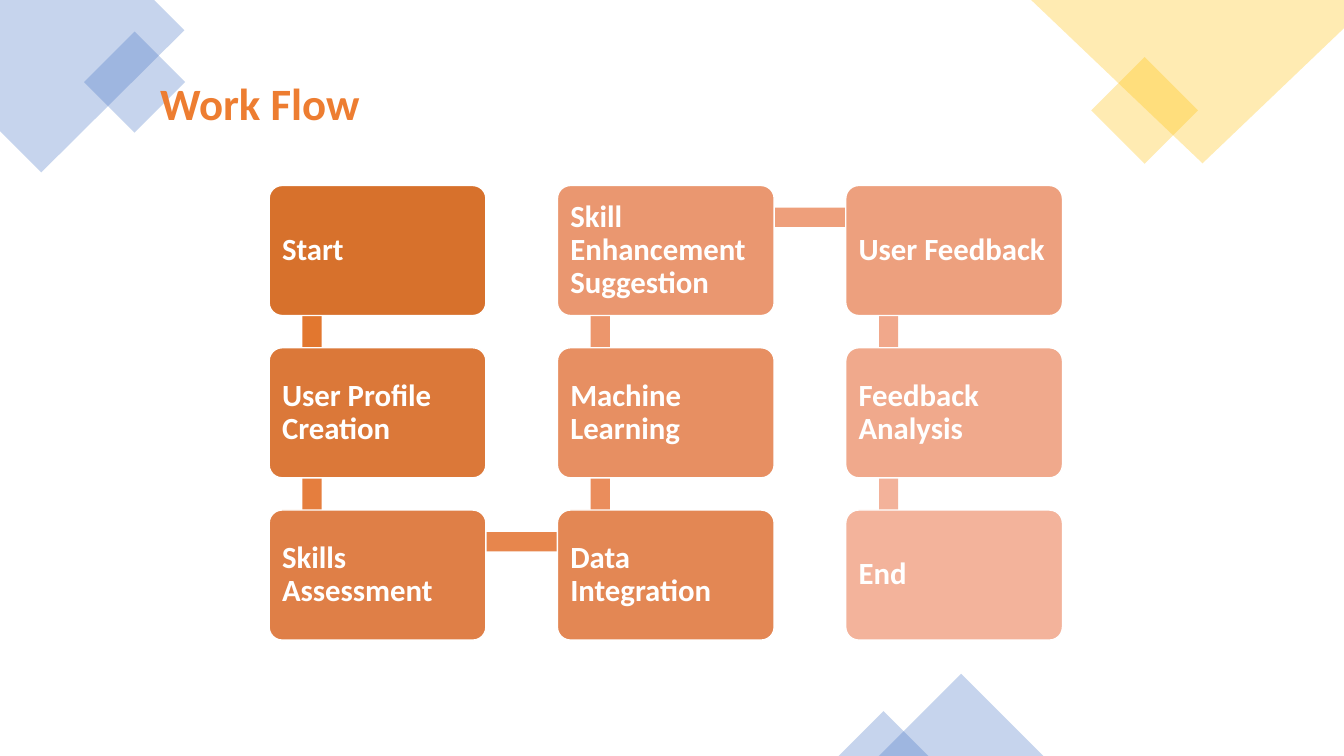
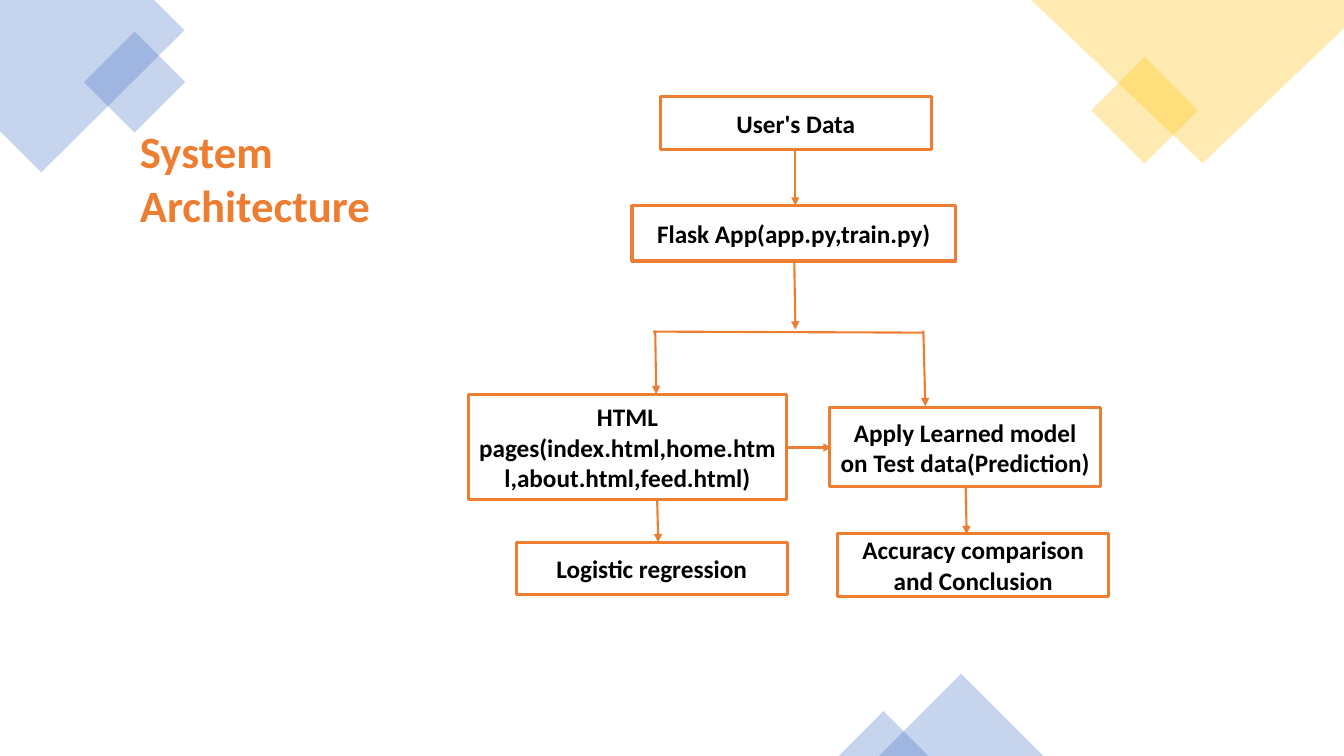
import dataclasses
import itertools

import lxml.etree
import pptx
import pptx.dml.color
import pptx.enum.shapes
import pptx.enum.text
import pptx.oxml.ns
import pptx.util

SHAPE = pptx.enum.shapes.MSO_SHAPE
ALIGN = pptx.enum.text.PP_ALIGN
ANCHOR = pptx.enum.text.MSO_ANCHOR
qn = pptx.oxml.ns.qn


@dataclasses.dataclass(frozen=True)
class Theme:
    cell: float = 0.1
    columns: float = 133.33
    rows: float = 75
    font: str = "Calibri"
    accent: str = "ED7D31"
    blue: str = "4472C4"
    gold: str = "FFC000"
    white: str = "FFFFFF"
    black: str = "000000"
    step_fills: tuple = ("D7712C", "DB7839", "DF7F47", "E38754", "E78F62",
                         "EA9770", "EDA07E", "F0A98C", "F3B39B")
    link_fills: tuple = ("E2772F", "E57E3E", "E7864D", "EA8D5C",
                         "EC966C", "EE9F7B", "F1A88B", "F3B29A")
    decor_opacity: int = 30
    title_size: float = 32
    step_size: float = 22
    node_size: float = 18
    node_line: float = 2.25
    arrow_line: float = 1.5
    step_line: float = 1


def rgb(value):
    return pptx.dml.color.RGBColor.from_string(value)


def assign(target, values):
    for name, value in values.items():
        setattr(target, name, value)


class Painter:
    def __init__(self, theme):
        self.theme = theme
        self.deck = pptx.Presentation()
        assign(self.deck, {"slide_width": self.grid(theme.columns),
                           "slide_height": self.grid(theme.rows)})
        self.page = None

    def grid(self, cells):
        return pptx.util.Inches(cells * self.theme.cell)

    def place(self, area):
        return [self.grid(value) for value in area]

    def new_page(self):
        self.page = self.deck.slides.add_slide(self.deck.slide_layouts[6])
        self.decorate()

    def paint(self, shape, fill, line=None, width=0, opacity=None):
        shape.shadow.inherit = False
        shape.fill.solid()
        shape.fill.fore_color.rgb = rgb(fill)
        if opacity is not None:
            color = shape.element.spPr.find(qn("a:solidFill"))[0]
            lxml.etree.SubElement(color, qn("a:alpha"), val=str(opacity * 1000))
        if line:
            shape.line.color.rgb = rgb(line)
            shape.line.width = pptx.util.Pt(width)
        else:
            shape.line.fill.background()

    def shape(self, kind, area, fill, rotation=0, **look):
        box = self.page.shapes.add_shape(kind, *self.place(area))
        box.rotation = rotation
        self.paint(box, fill, **look)
        return box

    def outline(self, points, fill, **look):
        corners = [self.place(point) for point in points]
        builder = self.page.shapes.build_freeform(*corners[0])
        builder.add_line_segments(corners[1:], close=True)
        self.paint(builder.convert_to_shape(), fill, **look)

    def label(self, box, text, size, color, frame=None, para=None):
        assign(box.text_frame, {"word_wrap": True, **(frame or {})})
        line = box.text_frame.paragraphs[0]
        assign(line, {"alignment": ALIGN.LEFT, **(para or {})})
        span = line.add_run()
        span.text = text
        assign(span.font, {"name": self.theme.font, "bold": True,
                           "size": pptx.util.Pt(size)})
        span.font.color.rgb = rgb(color)

    def title(self, text, area):
        box = self.page.shapes.add_textbox(*self.place(area))
        self.label(box, text, self.theme.title_size, self.theme.accent)

    def decorate(self):
        theme = self.theme
        look = {"opacity": theme.decor_opacity}
        self.outline([(0, 0), (15.3, 0), (18.3, 3), (4.1, 17.1), (0, 13)],
                     theme.blue, **look)
        self.shape(SHAPE.RECTANGLE, (9.8, 4.6, 7.1, 7.1), theme.blue, 45, **look)
        self.shape(SHAPE.RECTANGLE, (109.8, 7.2, 7.5, 7.5), theme.gold, 45, **look)
        self.outline([(theme.columns, 0), (102.3, 0), (119.3, 16.2),
                      (theme.columns, 2.8)], theme.gold, **look)
        for left, width in ((87.2, 16.3), (83.2, 8.9)):
            height = width / 2
            self.shape(SHAPE.ISOSCELES_TRIANGLE,
                       (left, theme.rows - height, width, height),
                       theme.blue, **look)

    def step(self, text, area, fill):
        theme = self.theme
        box = self.shape(SHAPE.ROUNDED_RECTANGLE, area, fill,
                         line=theme.white, width=theme.step_line)
        box.adjustments[0] = 0.1
        margins = ("margin_left", "margin_top", "margin_right", "margin_bottom")
        frame = dict.fromkeys(margins, pptx.util.Inches(0.09))
        self.label(box, text, theme.step_size, theme.white,
                   {**frame, "vertical_anchor": ANCHOR.MIDDLE},
                   {"line_spacing": 0.9})

    def node(self, text, area):
        theme = self.theme
        box = self.shape(SHAPE.RECTANGLE, area, theme.white,
                         line=theme.accent, width=theme.node_line)
        self.label(box, text, theme.node_size, theme.black,
                   {"vertical_anchor": ANCHOR.MIDDLE},
                   {"alignment": ALIGN.CENTER})

    def connect(self, ends, arrow=True):
        link = self.page.shapes.add_connector(
            pptx.enum.shapes.MSO_CONNECTOR.STRAIGHT, *self.place(ends))
        link.line.color.rgb = rgb(self.theme.accent)
        link.line.width = pptx.util.Pt(self.theme.arrow_line)
        properties = link.element.spPr
        if arrow:
            lxml.etree.SubElement(properties.find(qn("a:ln")),
                                  qn("a:tailEnd"), type="triangle")
        lxml.etree.SubElement(properties, qn("a:effectLst"))


def work_flow(painter):
    theme = painter.theme
    left, top, width, height = 26.7, 18.4, 21.5, 12.9
    column_step, row_step, thickness = 28.6, 16.1, 1.9
    steps = ("Start", "User Profile Creation", "Skills Assessment",
             "Data Integration", "Machine Learning",
             "Skill Enhancement Suggestion", "User Feedback",
             "Feedback Analysis", "End")
    corners = []
    for index in range(len(steps)):
        column, row = divmod(index, 3)
        if column % 2:
            row = 2 - row
        corners.append((left + column * column_step, top + row * row_step))

    painter.new_page()
    for (start, end), fill in zip(itertools.pairwise(corners), theme.link_fills):
        x, y = min(start, end)
        if start[0] == end[0]:
            bar = (x + 3.3, y + height / 2, thickness, row_step)
        else:
            bar = (x + width / 2, y + 2.2, column_step, thickness)
        painter.shape(SHAPE.RECTANGLE, bar, fill)
    for text, corner, fill in zip(steps, corners, theme.step_fills):
        painter.step(text, (*corner, width, height), fill)
    painter.title("Work Flow", (14.9, 7, 36.8, 6.4))


def system_architecture(painter):
    painter.new_page()
    painter.title("System Architecture", (12.9, 11.8, 32.7, 11.8))
    nodes = (
        ("User's Data", (65.5, 9.6, 26.9, 5.2)),
        ("Flask App(app.py,train.py)", (62.7, 20.4, 32.1, 5.5)),
        ("HTML pages(index.html,home.html,about.html,feed.html)",
         (46.5, 39.1, 31.5, 10.5)),
        ("Accuracy comparison and Conclusion", (83.1, 52.9, 26.9, 6.3)),
        ("Logistic regression", (51.2, 53.8, 26.9, 5.2)),
        ("Apply Learned model on Test data(Prediction)",
         (82.3, 40.4, 26.9, 7.9)),
    )
    for text, area in nodes:
        painter.node(text, area)
    arrows = (
        (78.9, 14.9, 78.9, 20.4),
        (78.8, 25.9, 78.9, 32.7),
        (78.2, 44.4, 82.5, 44.4),
        (65.2, 49.7, 65.3, 53.8),
        (65, 32.8, 65.1, 39.1),
        (95.8, 48.3, 95.9, 53),
        (91.6, 32.8, 91.8, 40.3),
    )
    for ends in arrows:
        painter.connect(ends)
    painter.connect((64.8, 32.9, 91.7, 33), arrow=False)


def main():
    painter = Painter(Theme())
    work_flow(painter)
    system_architecture(painter)
    painter.deck.save("out.pptx")


if __name__ == "__main__":
    main()
